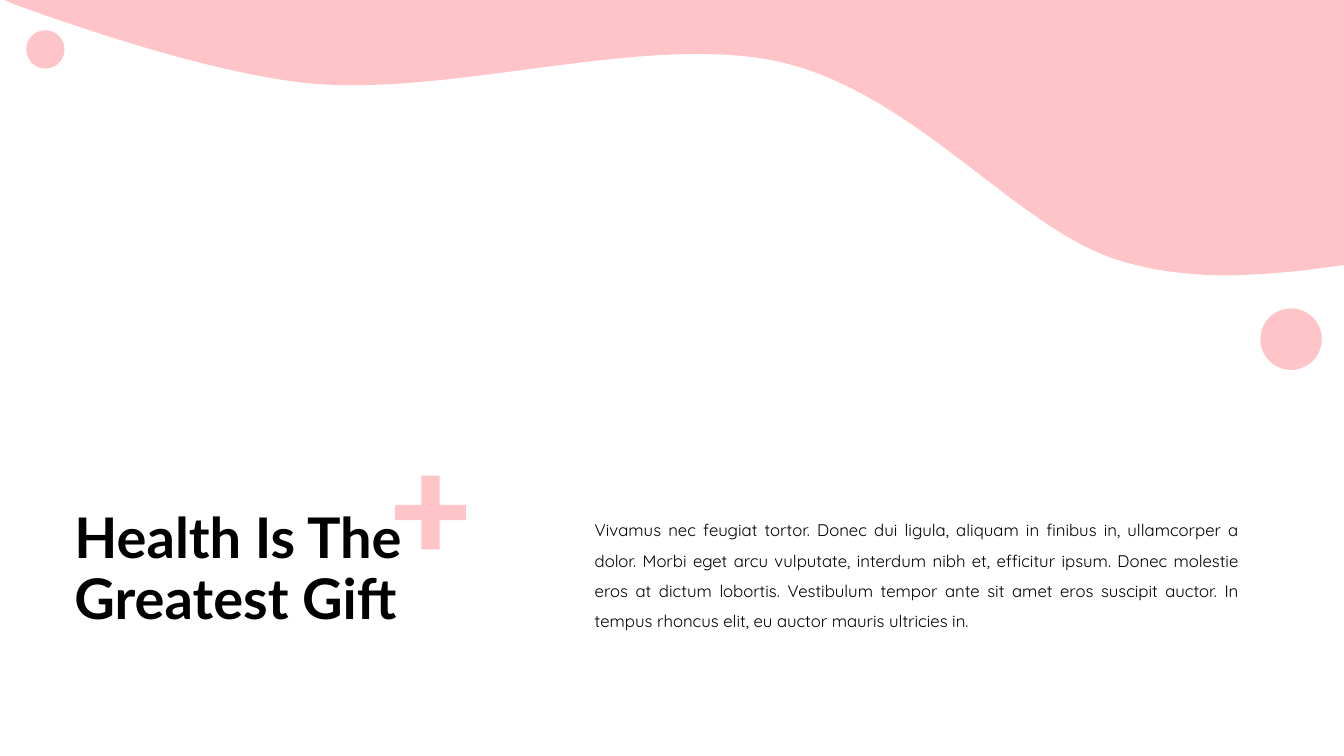
from lxml import etree
from pptx import Presentation, util as u
from pptx.dml.color import RGBColor
from pptx.enum import shapes, text
from pptx.oxml import ns

COLORS = {"pink": "FFC4C8", "black": "000000"}
WAVE = [
    [(12.28, 2.73)],
    [(12.54, 2.72), (12.8, 2.7), (13.03, 2.67)],
    [(13.33, 2.63)],
    [(13.33, -0.02)],
    [(0, -0.02)],
    [(0.16, 0.05)],
    [(1, 0.35), (2.1, 0.71), (3, 0.82)],
    [(4.45, 0.98), (6.37, 0.32), (7.72, 0.61)],
    [(9.07, 0.91), (10.07, 2.26), (11.09, 2.58)],
    [(11.47, 2.7), (11.89, 2.74), (12.28, 2.73)],
]
PLUS = [[(x, y)] for x, y in (
    (4.18, 4.72), (4.36, 4.72), (4.36, 5.01), (4.62, 5.01),
    (4.62, 5.16), (4.36, 5.16), (4.36, 5.45), (4.18, 5.45),
    (4.18, 5.16), (3.92, 5.16), (3.92, 5.01), (4.18, 5.01))]
TITLE = "Health Is The Greatest Gift"
BODY = ("Vivamus nec feugiat tortor. Donec dui ligula, aliquam in finibus in, "
        "ullamcorper a dolor. Morbi eget arcu vulputate, interdum nibh et, "
        "efficitur ipsum. Donec molestie eros at dictum lobortis. Vestibulum "
        "tempor ante sit amet eros suscipit auctor. In tempus rhoncus elit, "
        "eu auctor mauris ultricies in.")


class Deck:
    """Holds the style and the current slide."""

    def __init__(self, width, height):
        self.prs = Presentation()
        self.prs.slide_width = u.Inches(width)
        self.prs.slide_height = u.Inches(height)
        self.s = self.prs.slides.add_slide(self.prs.slide_layouts[6])

    def color(self, name):
        return RGBColor.from_string(COLORS[name])

    def paint(self, sp):
        sp.shadow.inherit = False
        sp.fill.solid()
        sp.fill.fore_color.rgb = self.color("pink")
        sp.line.fill.background()

    def outline(self, segments):
        ends = [tuple(map(u.Inches, seg[-1])) for seg in segments]
        fb = self.s.shapes.build_freeform(*ends[0])
        fb.add_line_segments(ends[1:], close=True)
        sp = fb.convert_to_shape()
        lines = list(sp._element.iter(ns.qn("a:lnTo")))
        for line, seg in zip(lines, segments[1:]):
            if len(seg) == 3:
                self.bend(sp, line, seg)
        self.paint(sp)

    def bend(self, sp, line, seg):
        line.tag = ns.qn("a:cubicBezTo")
        for i, (x, y) in enumerate(seg[:2]):
            pt = etree.Element(ns.qn("a:pt"), x=str(u.Inches(x) - sp.left),
                               y=str(u.Inches(y) - sp.top))
            line.insert(i, pt)

    def circle(self, x, y, d):
        box = map(u.Inches, (x, y, d, d))
        self.paint(self.s.shapes.add_shape(shapes.MSO_SHAPE.OVAL, *box))

    def text(self, box, words, frame, para, font):
        tf = self.s.shapes.add_textbox(*map(u.Inches, box)).text_frame
        p = tf.paragraphs[0]
        r = p.add_run()
        r.text = words
        r.font.color.rgb = self.color("black")
        for target, values in ((tf, frame), (p, para), (r.font, font)):
            for name, value in values.items():
                setattr(target, name, value)


def main():
    deck = Deck(13.33, 7.5)
    deck.outline(WAVE)
    deck.circle(12.5, 3.06, 0.61)
    deck.outline(PLUS)
    deck.text((5.8, 5.01, 6.59, 1.31), BODY,
              {"word_wrap": True,
               "auto_size": text.MSO_AUTO_SIZE.SHAPE_TO_FIT_TEXT},
              {"alignment": text.PP_ALIGN.JUSTIFY, "line_spacing": 1.5},
              {"name": "Quicksand", "size": u.Pt(12)})
    deck.circle(0.26, 0.3, 0.38)
    deck.text((0.64, 4.94, 5.08, 1.45), TITLE,
              {"word_wrap": True, "vertical_anchor": text.MSO_ANCHOR.MIDDLE},
              {"line_spacing": 0.9},
              {"name": "Lato", "size": u.Pt(40), "bold": True})
    deck.prs.save("out.pptx")


if __name__ == "__main__":
    main()
